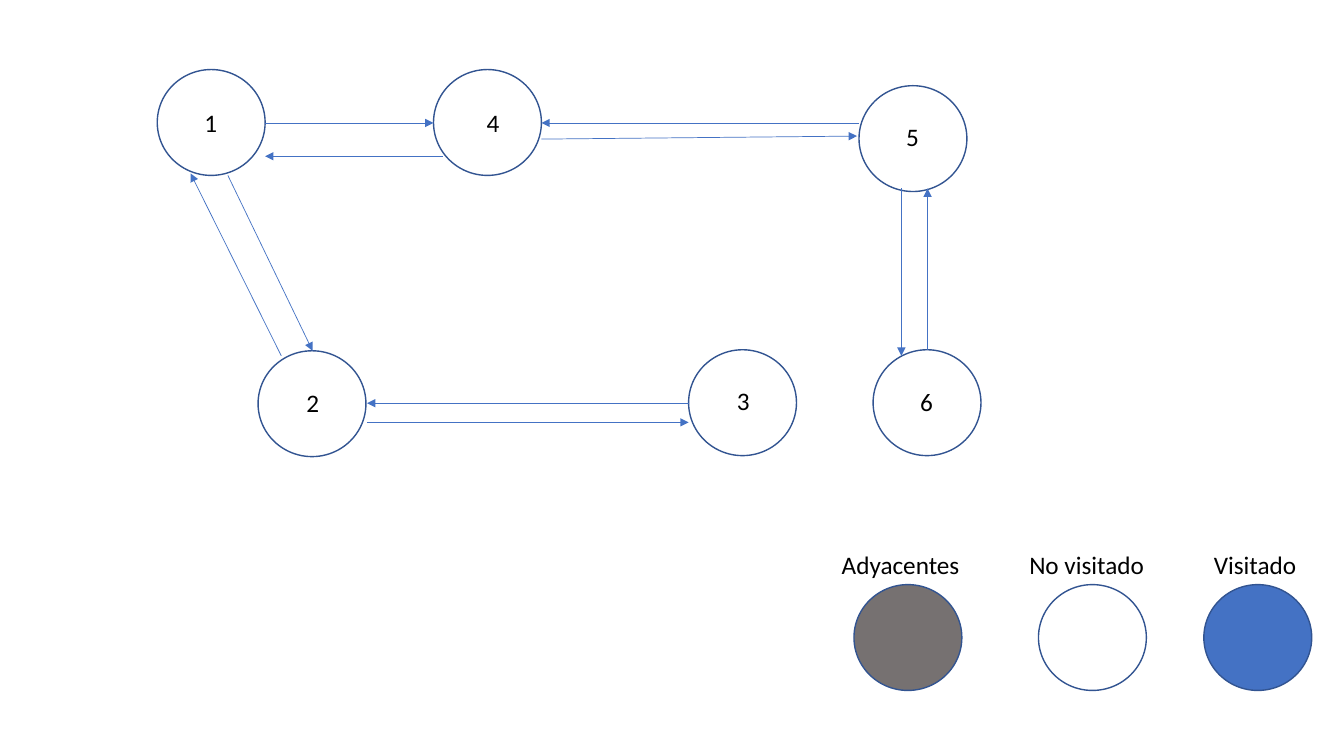
"""Build a slide with a six-node graph and its visit-state legend."""
from typing import NamedTuple, Optional

from lxml import etree
from pptx import Presentation
from pptx import util as u
from pptx.dml.color import RGBColor
from pptx.enum import shapes, text
from pptx.oxml import ns

COLORS = {"edge": "4472C4", "outline": "325491", "text": "000000",
          "visited": "4472C4", "adjacent": "767171"}
NODE_W, NODE_H, LABEL_H = 1.07, 1.05, 0.4


class Node(NamedTuple):
    name: str
    x: float
    y: float
    label_x: float
    label_y: float
    centered: bool = False


class Edge(NamedTuple):
    x1: float
    y1: float
    x2: float
    y2: float


class Key(NamedTuple):
    name: str
    x: float
    label_x: float
    label_w: float
    fill: Optional[str] = None


NODES = [
    Node("1", 1.56, 0.69, 1.93, 1.02),
    Node("2", 2.56, 3.48, 2.94, 3.79),
    Node("3", 6.83, 3.47, 7.21, 3.77),
    Node("4", 4.3, 0.69, 4.64, 1.02, True),
    Node("5", 8.52, 0.85, 8.8, 1.15, True),
    Node("6", 8.66, 3.47, 8.94, 3.78, True),
]
EDGES = [
    Edge(2.63, 1.22, 4.3, 1.22), Edge(4.39, 1.55, 2.63, 1.55),
    Edge(3.64, 4.19, 6.83, 4.19), Edge(6.83, 4, 3.64, 4),
    Edge(8.94, 1.87, 8.94, 3.53), Edge(9.2, 3.47, 9.2, 1.87),
    Edge(2.26, 1.74, 3.1, 3.48), Edge(2.79, 3.53, 1.89, 1.72),
    Edge(8.52, 1.22, 5.37, 1.22), Edge(5.37, 1.38, 8.5, 1.35),
]
KEYS = [
    Key("Adyacentes", 8.47, 8.25, 1.45, "adjacent"),
    Key("No visitado", 10.3, 10.11, 1.45),
    Key("Visitado", 11.94, 11.94, 1.07, "visited"),
]
KEY_Y = 5.8


def rgb(name: str) -> RGBColor:
    return RGBColor.from_string(COLORS[name])


def add_circle(s, x: float, y: float, fill: Optional[str] = None) -> None:
    sp = s.shapes.add_shape(shapes.MSO_SHAPE.OVAL, u.Inches(x), u.Inches(y),
                            u.Inches(NODE_W), u.Inches(NODE_H))
    sp.shadow.inherit = False
    if fill:
        sp.fill.solid()
        sp.fill.fore_color.rgb = rgb(fill)
    else:
        sp.fill.background()
    sp.line.color.rgb = rgb("outline")
    sp.line.width = u.Pt(1)


def add_label(s, words: str, *, x: float, y: float, w: float = 0.5,
              centered: bool = False, size: float = 18) -> None:
    sp = s.shapes.add_textbox(u.Inches(x), u.Inches(y), u.Inches(w), u.Inches(LABEL_H))
    tf = sp.text_frame
    tf.word_wrap = True
    tf.auto_size = text.MSO_AUTO_SIZE.SHAPE_TO_FIT_TEXT
    p = tf.paragraphs[0]
    p.alignment = text.PP_ALIGN.CENTER if centered else text.PP_ALIGN.LEFT
    r = p.add_run()
    r.text = words
    r.font.name = "Calibri"
    r.font.size = u.Pt(size)
    r.font.color.rgb = rgb("text")


def add_arrow(s, edge: Edge) -> None:
    sp = s.shapes.add_connector(shapes.MSO_CONNECTOR.STRAIGHT, *map(u.Inches, edge))
    sp.line.color.rgb = rgb("edge")
    sp.line.width = u.Pt(0.5)
    etree.SubElement(sp.line._get_or_add_ln(), ns.qn("a:tailEnd"), type="triangle")
    etree.SubElement(sp._element.spPr, ns.qn("a:effectLst"))


def main() -> None:
    prs = Presentation()
    prs.slide_width, prs.slide_height = u.Inches(13.33), u.Inches(7.5)
    s = prs.slides.add_slide(prs.slide_layouts[6])
    for node in NODES:
        add_circle(s, node.x, node.y)
        add_label(s, node.name, x=node.label_x, y=node.label_y, centered=node.centered)
    for edge in EDGES:
        add_arrow(s, edge)
    for key in KEYS:
        add_circle(s, key.x, KEY_Y, key.fill)
        add_label(s, key.name, x=key.label_x, y=KEY_Y - LABEL_H, w=key.label_w)
    prs.save("out.pptx")


main()
